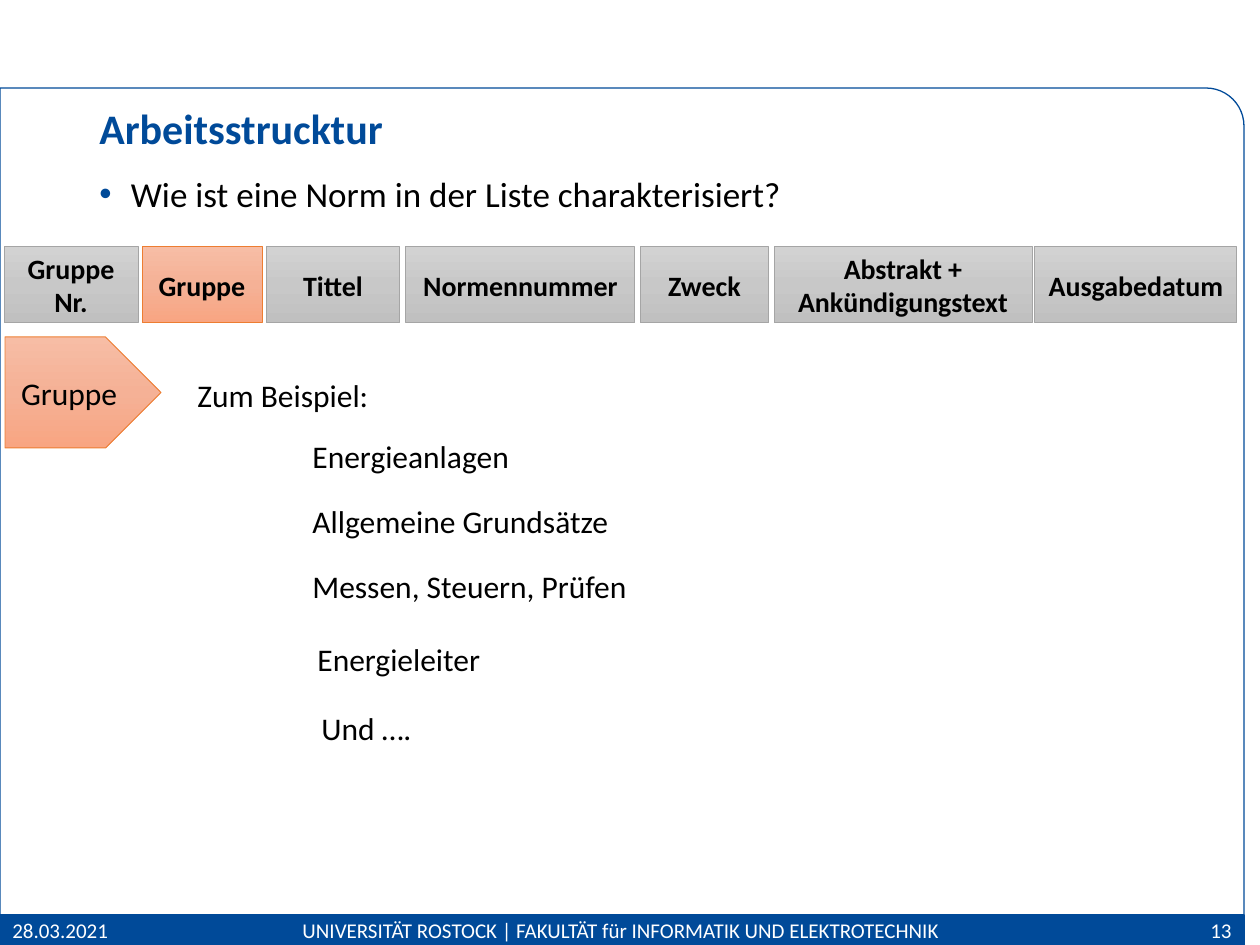
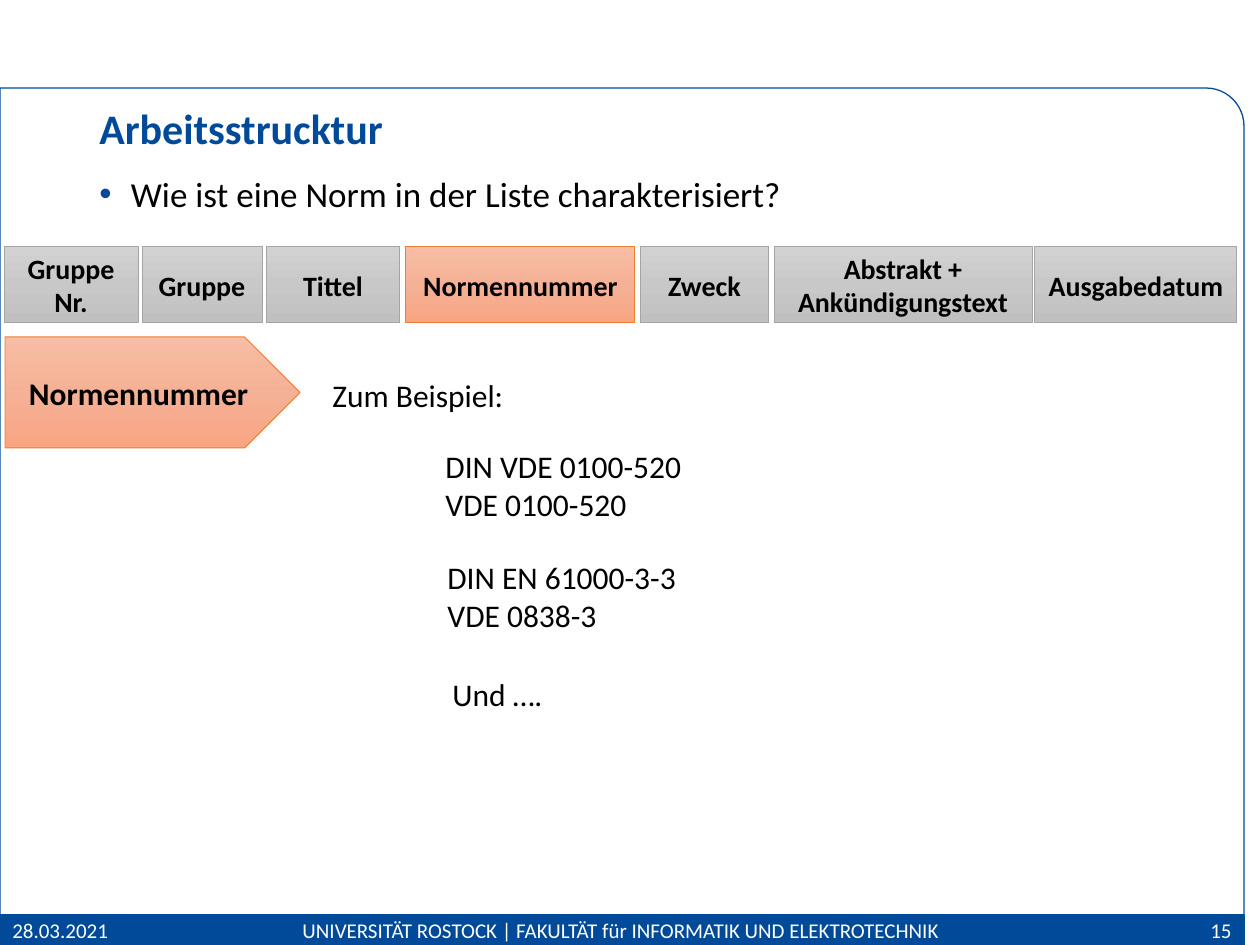
"""Builds two slides on how a standard is described in the list."""
from copy import deepcopy

from lxml import etree
from pptx import Presentation
from pptx import util as u
from pptx.dml.color import RGBColor
from pptx.enum import shapes, text
from pptx.oxml import ns

PX = 914400 / 126
FONT = "Calibri"
COLORS = {"blue": "004A99", "black": "000000", "white": "FFFFFF",
          "gray_line": "A5A5A5", "orange_line": "ED7D31"}
GRADIENTS = {"gray": ("D2D2D2", "C8C8C8", "C0C0C0"),
             "orange": ("F7BDA5", "F5B196", "F8A582")}
FRAME_W, FOOTER_Y, FOOTER_H = 1244, 915, 30
COLUMNS = [("Gruppe Nr.", 4, 134), ("Gruppe", 142, 120), ("Tittel", 266, 134),
           ("Normennummer", 406, 229), ("Zweck", 640, 129),
           ("Abstrakt + Ankündigungstext", 774, 258), ("Ausgabedatum", 1035, 202)]
SLIDES = [
    dict(number="13", column="Gruppe", arrow_w=156, arrow_bold=False, examples=[
        (["Zum Beispiel:"], 185, 370, 200),
        (["Energieanlagen"], 300, 431, 232),
        (["Allgemeine Grundsätze"], 300, 496, 359),
        (["Messen, Steuern, Prüfen"], 300, 561, 467),
        (["Energieleiter"], 305, 634, 194),
        (["Und …."], 309, 703, 120)]),
    dict(number="15", column="Normennummer", arrow_w=295, arrow_bold=True, examples=[
        (["Zum Beispiel:"], 320, 370, 200),
        (["DIN VDE 0100-520", "VDE 0100-520"], 433, 441, 271),
        (["DIN EN 61000-3-3", "VDE 0838-3"], 435, 552, 586),
        (["Und …."], 440, 669, 120)]),
]


def rgb(name):
    """Return the colour stored under a name."""
    return RGBColor.from_string(COLORS[name])


def emu(*lengths):
    """Turn px into EMU."""
    return [u.Emu(round(n * PX)) for n in lengths]


def write(sp, lines, size, color="black", bold=False, align="LEFT", anchor="TOP"):
    """Put lines into a shape, all in one style."""
    tf = sp.text_frame
    tf.word_wrap = True
    tf.vertical_anchor = text.MSO_ANCHOR[anchor]
    tf.text = "\n".join(lines)
    for p in tf.paragraphs:
        p.alignment = text.PP_ALIGN[align]
        p.font.name, p.font.size, p.font.bold = FONT, u.Pt(size), bold
        p.font.color.rgb = rgb(color)


def add_text(s, lines, box, size, **style):
    """Add a text box and return it."""
    sp = s.shapes.add_textbox(*emu(*box))
    write(sp, lines, size, **style)
    return sp


def add_shape(s, kind, box, line, width):
    """Add an unfilled preset shape with an outline."""
    sp = s.shapes.add_shape(shapes.MSO_SHAPE[kind], *emu(*box))
    sp.shadow.inherit = False
    sp.fill.background()
    sp.line.color.rgb = rgb(line)
    sp.line.width = u.Pt(width)
    return sp


def add_tile(s, kind, box, tone, label, size, bold):
    """Add a labelled shape with a vertical three-stop gradient."""
    sp = add_shape(s, kind, box, f"{tone}_line", 0.5)
    sp.fill.gradient()
    sp.fill.gradient_angle = 270
    stops = sp._element.spPr.find(".//" + ns.qn("a:gsLst"))
    stops.insert(1, deepcopy(stops[0]))
    for i, (stop, color) in enumerate(zip(sp.fill.gradient_stops, GRADIENTS[tone])):
        stop.position = i / 2
        stop.color.rgb = RGBColor.from_string(color)
    write(sp, [label], size, bold=bold, align="CENTER", anchor="MIDDLE")


def add_bullet(p, indent):
    """Give a paragraph a blue hanging bullet."""
    pPr = p._p.get_or_add_pPr()
    pPr.set("marL", str(indent))
    pPr.set("indent", str(-indent))
    bu_clr = etree.Element(ns.qn("a:buClr"))
    etree.SubElement(bu_clr, ns.qn("a:srgbClr"), val=COLORS["blue"])
    bu_font = etree.Element(ns.qn("a:buFont"), typeface="Arial")
    bu_char = etree.Element(ns.qn("a:buChar"), char="•")
    for i, el in enumerate((bu_clr, bu_font, bu_char)):
        pPr.insert(i, el)
    p.line_spacing = 0.9


def add_frame(s, number):
    """Add the rounded frame and the footer band."""
    band = add_shape(s, "RECTANGLE", (0, FOOTER_Y, FRAME_W, FOOTER_H), "blue", 0.75)
    band.fill.solid()
    band.fill.fore_color.rgb = rgb("blue")
    top, radius = 88, 38
    frame = add_shape(s, "ROUND_1_RECTANGLE", (0, top, FRAME_W, FOOTER_Y - top), "blue", 0.75)
    frame.adjustments[0] = radius / (FOOTER_Y - top)
    footers = [("28.03.2021", 0, 127, "LEFT"),
               ("UNIVERSITÄT ROSTOCK | FAKULTÄT für INFORMATIK UND ELEKTROTECHNIK",
                223, 796, "CENTER"),
               (number, FRAME_W - 127, 127, "RIGHT")]
    for label, x, w, align in footers:
        add_text(s, [label], (x, FOOTER_Y, w, FOOTER_H), 12,
                 color="white", align=align, anchor="MIDDLE")


def add_heading(s):
    """Add the title and the question below it."""
    title = add_text(s, ["Arbeitsstrucktur"], (87, 91, 1086, 80), 24,
                     color="blue", bold=True, anchor="MIDDLE")
    title.text_frame.paragraphs[0].line_spacing = 0.9
    body = add_text(s, ["Wie ist eine Norm in der Liste charakterisiert?"],
                    (87, 171, 1086, 178), 20)
    add_bullet(body.text_frame.paragraphs[0], u.Inches(0.25))


def add_columns(s, active):
    """Add the row of list columns with the active one in orange."""
    for label, x, w in COLUMNS:
        tone = "orange" if label == active else "gray"
        add_tile(s, "RECTANGLE", (x, 247, w, 76), tone, label, 16, True)


def main():
    """Build and save the slides."""
    prs = Presentation()
    prs.slide_width, prs.slide_height = emu(1260, 945)
    for spec_row in SLIDES:
        s = prs.slides.add_slide(prs.slide_layouts[6])
        add_frame(s, spec_row["number"])
        add_heading(s)
        add_columns(s, spec_row["column"])
        add_tile(s, "PENTAGON", (5, 337, spec_row["arrow_w"], 111), "orange",
                 spec_row["column"], 18, spec_row["arrow_bold"])
        for lines, x, y, w in spec_row["examples"]:
            add_text(s, lines, (x, y, w, 12 + 38 * len(lines)), 18)
    prs.save("out.pptx")


if __name__ == "__main__":
    main()
